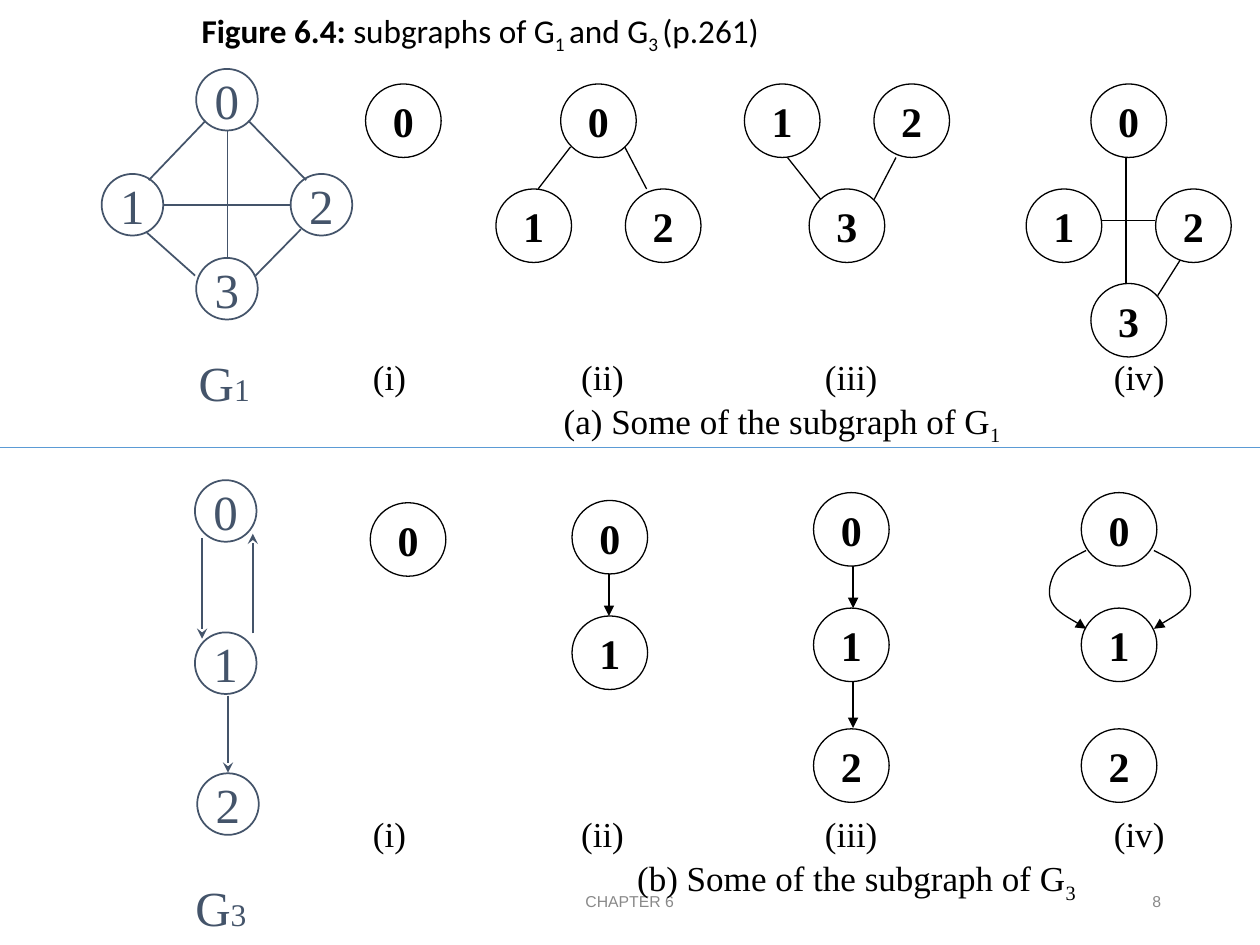
from lxml import etree
from pptx import Presentation
from pptx.dml.color import RGBColor
from pptx.enum.shapes import MSO_CONNECTOR, MSO_SHAPE
from pptx.enum.text import MSO_ANCHOR, PP_ALIGN
from pptx.oxml.ns import qn
from pptx.util import Pt

LEFT, CENTER, RIGHT = PP_ALIGN.LEFT, PP_ALIGN.CENTER, PP_ALIGN.RIGHT
TOP, MIDDLE = MSO_ANCHOR.TOP, MSO_ANCHOR.MIDDLE
STRAIGHT, OVAL = MSO_CONNECTOR.STRAIGHT, MSO_SHAPE.OVAL
SERIF = "Times New Roman"
BLACK, SLATE, WHITE, GREY, BLUE = "000000", "44546A", "FFFFFF", "898989", "5B9BD5"

GRAPH_STYLE = dict(width=35.2, height=35.2, fill=WHITE, color=SLATE,
                   weight=1, size=28, bold=False)
SUBGRAPH_STYLE = dict(width=43.2, height=42, fill=None, color=BLACK,
                      weight=0.75, size=24, bold=True)

TITLE = [("Figure 6.4:", "bold"), (" subgraphs of G", ""), ("1 ", "sub"),
         ("and G", ""), ("3 ", "sub"), ("(p.261)", "")]

SUBGRAPH_NODES = [
    ("0", 230.5, 69),
    ("0", 342, 69), ("1", 305, 129), ("2", 379, 129),
    ("3", 484, 129), ("1", 447, 69), ("2", 521, 69),
    ("0", 645, 69), ("1", 608, 129), ("2", 682, 129), ("3", 645, 183),
    ("0", 233.2, 308.3),
    ("0", 348.5, 307), ("1", 348.5, 373),
    ("0", 486.5, 302.5), ("1", 486.5, 368.5), ("2", 486.5, 437.5),
    ("0", 639.5, 302.5), ("1", 639.5, 368.5), ("2", 639.5, 437.5),
]
SUBGRAPH_EDGES = [
    (326, 84, 307.5, 108), (357, 84, 369.5, 108),
    (469, 114, 450, 90), (499.5, 114, 512, 90),
    (629.5, 126, 660, 126), (643.5, 90, 643.5, 162), (674.5, 148.5, 661.5, 169),
]
SUBGRAPH_ARROWS = [
    (348, 328, 348, 352), (487.5, 323.5, 487.5, 347.5), (487.5, 389.5, 487.5, 416),
]
CURVE_AXIS = 640
CURVE = [(19.4, 314.6), (26.5, 318.2), (34, 321.8), (37, 326.9), (40, 331.9),
         (41.7, 339.1), (39, 344.2), (36, 349.9), (22, 357.1), (19.4, 359.3)]

GRAPH_NODES = [
    ("0", 129.7, 57), ("1", 75.7, 117), ("2", 183.7, 117), ("3", 129.7, 165),
    ("0", 129, 292), ("1", 129, 379), ("2", 130.3, 459.5),
]
GRAPH_EDGES = [
    (130, 75, 130, 147), (93.5, 117, 165.5, 117), (117.5, 69, 85, 103),
    (142, 69, 175, 103), (84, 133, 111.5, 157.5), (172, 131, 146, 157.5),
]
GRAPH_ARROWS = [
    (130.3, 397.5, 130.3, 441.5), (144.5, 362, 144.5, 305), (115.5, 307.5, 115.5, 365),
]
GRAPH_NAMES = [("1", 106.5, 198), ("3", 104.5, 498)]

NUMERALS = "(i)\t(ii)\t(iii)\t(iv)"
NUMERAL_TABS = [119, 258.3, 423.4]
CAPTIONS = [("(a) Some of the subgraph of G", "1", 199.5, 109),
            ("(b) Some of the subgraph of G", "3", 461, 151)]
FOOTERS = [("CHAPTER 6", 238.5, 242.5, CENTER), ("8", 508.5, 162, RIGHT)]


def rgb(color):
    return RGBColor.from_string(color)


def set_font(paragraph, name, size, color, bold=False):
    font = paragraph.font
    font.name, font.size, font.bold = name, Pt(size), bold
    font.color.rgb = rgb(color)


def add_run(paragraph, text, subscript=False):
    run = paragraph.add_run()
    run.text = text
    if subscript:
        run.font._element.set("baseline", "-25000")
    return run


def add_text_box(left, top, width, height, anchor=TOP, wrap=True):
    frame = slide.shapes.add_textbox(Pt(left), Pt(top), Pt(width), Pt(height)).text_frame
    frame.word_wrap, frame.vertical_anchor = wrap, anchor
    return frame


def add_node(label, x, y, style):
    width, height = style["width"], style["height"]
    node = slide.shapes.add_shape(OVAL, Pt(x - width / 2), Pt(y - height / 2),
                                  Pt(width), Pt(height))
    node.shadow.inherit = False
    if style["fill"]:
        node.fill.solid()
        node.fill.fore_color.rgb = rgb(style["fill"])
    else:
        node.fill.background()
    style_line(node, style["color"], style["weight"])
    frame = node.text_frame
    frame.word_wrap, frame.vertical_anchor = False, MIDDLE
    paragraph = frame.paragraphs[0]
    paragraph.alignment = CENTER
    add_run(paragraph, label)
    set_font(paragraph, SERIF, style["size"], style["color"], style["bold"])


def style_line(shape, color, weight, arrowhead=None):
    shape.line.color.rgb = rgb(color)
    shape.line.width = Pt(weight)
    if arrowhead:
        line = shape.line._get_or_add_ln()
        etree.SubElement(line, qn("a:tailEnd"), type=arrowhead)


def add_edge(ends, color, weight, arrowhead=None):
    edge = slide.shapes.add_connector(STRAIGHT, *map(Pt, ends))
    style_line(edge, color, weight, arrowhead)
    etree.SubElement(edge._element.spPr, qn("a:effectLst"))


def add_curve(points):
    start, *rest = [(Pt(x), Pt(y)) for x, y in points]
    builder = slide.shapes.build_freeform(*start)
    builder.add_line_segments(rest, close=False)
    curve = builder.convert_to_shape()
    segments = list(curve._element.iter(qn("a:lnTo")))
    outline = segments[0].getparent()
    for first in range(0, len(segments), 3):
        bezier = etree.SubElement(outline, qn("a:cubicBezTo"))
        for segment in segments[first:first + 3]:
            bezier.append(segment[0])
            outline.remove(segment)
    curve.shadow.inherit = False
    curve.fill.background()
    style_line(curve, BLACK, 0.75, "triangle")


prs = Presentation()
prs.slide_width, prs.slide_height = Pt(720), Pt(540)
slide = prs.slides.add_slide(prs.slide_layouts[5])

title = slide.shapes.title
title.left, title.top, title.width, title.height = Pt(108), Pt(0), Pt(612), Pt(54)
title.text_frame.vertical_anchor = TOP
title.text_frame.margin_top = Pt(6)
heading = title.text_frame.paragraphs[0]
heading.alignment, heading.line_spacing = LEFT, 0.9
for text, kind in TITLE:
    run = add_run(heading, text, kind == "sub")
    if kind == "bold":
        run.font.bold = True
set_font(heading, "Calibri", 19, BLACK)

for text, left, width, alignment in FOOTERS:
    footer = add_text_box(left, 500.5, width, 29, MIDDLE).paragraphs[0]
    footer.alignment = alignment
    add_run(footer, text)
    set_font(footer, "Arial", 9, GREY)

for nodes, edges, arrows, arrowhead, style in [
    (SUBGRAPH_NODES, SUBGRAPH_EDGES, SUBGRAPH_ARROWS, "triangle", SUBGRAPH_STYLE),
    (GRAPH_NODES, GRAPH_EDGES, GRAPH_ARROWS, "stealth", GRAPH_STYLE),
]:
    for node in nodes:
        add_node(*node, style)
    for ends in edges:
        add_edge(ends, style["color"], style["weight"])
    for ends in arrows:
        add_edge(ends, style["color"], style["weight"], arrowhead)

for side in (-1, 1):
    add_curve([(CURVE_AXIS + side * offset, y) for offset, y in CURVE])

for text, subscript, top, indent in CAPTIONS:
    frame = add_text_box(206, top, 467, 58)
    numerals, caption = frame.paragraphs[0], frame.add_paragraph()
    tabs = etree.SubElement(numerals._p.get_or_add_pPr(), qn("a:tabLst"))
    for position in NUMERAL_TABS:
        etree.SubElement(tabs, qn("a:tab"), pos=str(Pt(position)), algn="l")
    add_run(numerals, NUMERALS)
    caption._p.get_or_add_pPr().set("marL", str(Pt(indent)))
    caption.space_before = Pt(1)
    add_run(caption, text)
    add_run(caption, subscript, True)
    for paragraph in (numerals, caption):
        set_font(paragraph, SERIF, 20, BLACK)

for number, left, top in GRAPH_NAMES:
    name = add_text_box(left, top, 44, 41, wrap=False).paragraphs[0]
    add_run(name, "G")
    add_run(name, number).font.size = Pt(18)
    set_font(name, SERIF, 28, SLATE)

add_edge((0, 255.5, 720, 255.5), BLUE, 0.5)

prs.save("out.pptx")
